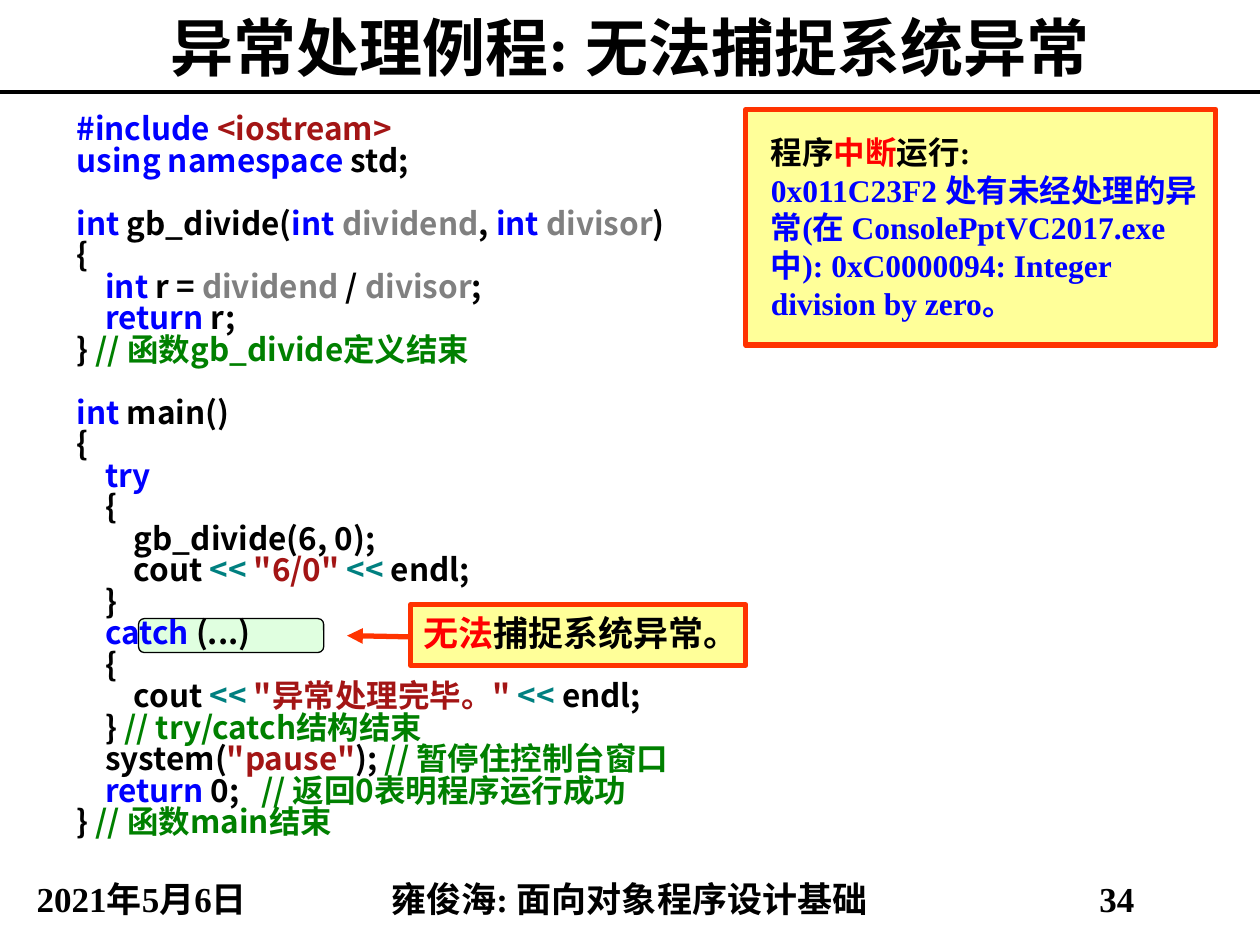
from lxml.etree import SubElement
from pptx import Presentation
from pptx.dml.color import RGBColor
from pptx.enum.shapes import MSO_CONNECTOR, MSO_SHAPE
from pptx.enum.text import MSO_ANCHOR, PP_ALIGN
from pptx.oxml.ns import qn
from pptx.util import Pt

BLACK = RGBColor(0x00, 0x00, 0x00)
BLUE = RGBColor(0x00, 0x00, 0xFF)
BROWN = RGBColor(0xA3, 0x15, 0x15)
GRAY = RGBColor(0x80, 0x80, 0x80)
GREEN = RGBColor(0x00, 0x80, 0x00)
TEAL = RGBColor(0x00, 0x80, 0x80)
RED = RGBColor(0xFF, 0x00, 0x00)
ORANGE = RGBColor(0xFF, 0x33, 0x00)
YELLOW = RGBColor(0xFF, 0xFF, 0x99)
MINT = RGBColor(0xE0, 0xFF, 0xE0)
SANS = "Noto Sans CJK SC"
SERIF = "Times New Roman"


def write(paragraph, pieces, size, font):
    for text, color in pieces:
        run = paragraph.add_run()
        run.text = text
        run.font.size = Pt(size)
        run.font.bold = True
        run.font.name = font
        run.font.color.rgb = color
        SubElement(run.font._element, qn("a:ea"), typeface=SANS)


def add_panel(kind, box, fill, line, width):
    shape = slide.shapes.add_shape(kind, *map(Pt, box))
    shape.shadow.inherit = False
    shape.fill.solid()
    shape.fill.fore_color.rgb = fill
    shape.line.color.rgb = line
    shape.line.width = Pt(width)
    shape.text_frame.word_wrap = True
    return shape


presentation = Presentation()
presentation.slide_width = Pt(720)
presentation.slide_height = Pt(540)
slide = presentation.slides.add_slide(presentation.slide_layouts[6])

highlight = add_panel(MSO_SHAPE.ROUNDED_RECTANGLE, (79.2, 353.5, 105.8, 19.4), MINT, BLACK, 0.75)

labels = [
    ("异常处理例程: 无法捕捉系统异常", (0, 0, 720, 52.6), 36, 1),
    ("2021年5月6日", (0, 500.4, 162, 28.8), 20, 0.9),
    ("雍俊海: 面向对象程序设计基础", (162, 500.4, 395.3, 28.8), 20, 0.9),
    ("34", (557.3, 500.4, 162, 28.8), 20, 0.9),
]
for text, box, size, spacing in labels:
    frame = slide.shapes.add_textbox(*map(Pt, box)).text_frame
    frame.word_wrap = True
    frame.vertical_anchor = MSO_ANCHOR.MIDDLE
    paragraph = frame.paragraphs[0]
    paragraph.alignment = PP_ALIGN.CENTER
    paragraph.line_spacing = spacing
    write(paragraph, [(text, BLACK)], size, SERIF)

functions = [
    [
        [("#include ", BLUE), ("<iostream>", BROWN)],
        [("using namespace ", BLUE), ("std;", BLACK)],
    ],
    [
        [("int ", BLUE), ("gb_divide(", BLACK), ("int ", BLUE), ("dividend", GRAY),
         (", ", BLACK), ("int ", BLUE), ("divisor", GRAY), (")", BLACK)],
        [("{", BLACK)],
        [("    int", BLUE), (" r = ", BLACK), ("dividend", GRAY), (" / ", BLACK),
         ("divisor", GRAY), (";", BLACK)],
        [("    return", BLUE), (" r;", BLACK)],
        [("} ", BLACK), ("// 函数gb_divide定义结束", GREEN)],
    ],
    [
        [("int", BLUE), (" main()", BLACK)],
        [("{", BLACK)],
        [("    try", BLUE)],
        [("    {", BLACK)],
        [("        gb_divide(6, 0);", BLACK)],
        [("        cout ", BLACK), ("<< ", TEAL), ('"6/0" ', BROWN), ("<< ", TEAL), ("endl;", BLACK)],
        [("    }", BLACK)],
        [("    catch", BLUE), (" (...)", BLACK)],
        [("    {", BLACK)],
        [("        cout ", BLACK), ("<< ", TEAL), ('"异常处理完毕。" ', BROWN), ("<< ", TEAL), ("endl;", BLACK)],
        [("    } ", BLACK), ("// try/catch结构结束", GREEN)],
        [("    system(", BLACK), ('"pause"', BROWN), ("); ", BLACK), ("// 暂停住控制台窗口", GREEN)],
        [("    return", BLUE), (" 0;   ", BLACK), ("// 返回0表明程序运行成功", GREEN)],
        [("} ", BLACK), ("// 函数main结束", GREEN)],
    ],
]
code = slide.shapes.add_textbox(Pt(36.7), Pt(62.6), Pt(647.3), Pt(437.8)).text_frame
code.word_wrap = True
paragraph = code.paragraphs[0]
for block, lines in enumerate(functions):
    for row, pieces in enumerate(lines):
        if block or row:
            paragraph = code.add_paragraph()
        paragraph.alignment = PP_ALIGN.JUSTIFY
        paragraph.line_spacing = Pt(18)
        paragraph.space_before = Pt(18 if block and row == 0 else 0)
        write(paragraph, pieces, 18, SANS)

rule = slide.shapes.add_connector(MSO_CONNECTOR.STRAIGHT, Pt(0), Pt(52.6), Pt(720), Pt(52.6))
rule.line.color.rgb = BLACK
rule.line.width = Pt(2.25)
SubElement(rule._element.spPr, qn("a:effectLst"))

message = add_panel(MSO_SHAPE.RECTANGLE, (426.2, 62.6, 268.6, 134.6), YELLOW, ORANGE, 3).text_frame
message.vertical_anchor = MSO_ANCHOR.MIDDLE
message.margin_left = message.margin_right = message.margin_top = message.margin_bottom = 0
details = "0x011C23F2 处有未经处理的异常(在 ConsolePptVC2017.exe 中): 0xC0000094: Integer division by zero。"
message_lines = [
    (message.paragraphs[0], [("程序", BLACK), ("中断", RED), ("运行:", BLACK)]),
    (message.add_paragraph(), [(details, BLUE)]),
]
for paragraph, pieces in message_lines:
    paragraph.alignment = PP_ALIGN.LEFT
    paragraph._p.get_or_add_pPr().set("marL", str(Pt(14.4)))
    write(paragraph, pieces, 18, SERIF)

callout = add_panel(MSO_SHAPE.LINE_CALLOUT_2, (234.7, 345.6, 191.5, 34.6), YELLOW, ORANGE, 3)
for index, value in enumerate((0.53, 0, 0.52, -0.09, 0.51, -0.19)):
    callout.adjustments[index] = value
SubElement(callout.line._get_or_add_ln(), qn("a:tailEnd"), type="triangle")
callout.text_frame.vertical_anchor = MSO_ANCHOR.TOP
callout.text_frame.margin_right = 0
paragraph = callout.text_frame.paragraphs[0]
paragraph.alignment = PP_ALIGN.LEFT
write(paragraph, [("无法", RED), ("捕捉系统异常。", BLACK)], 20, SANS)

presentation.save("out.pptx")
